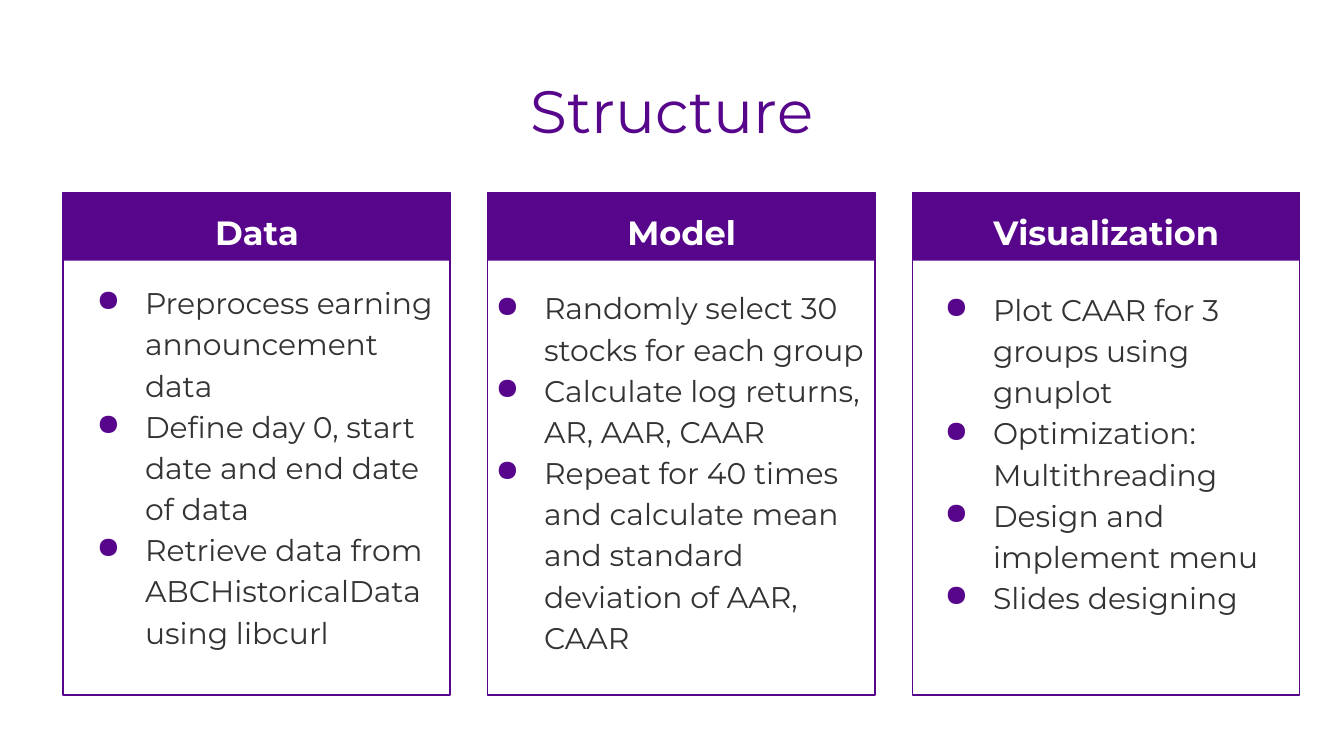
from lxml import etree
from pptx import Presentation
from pptx.dml.color import RGBColor
from pptx.enum.shapes import MSO_SHAPE
from pptx.enum.text import MSO_ANCHOR, PP_ALIGN
from pptx.oxml.ns import qn
from pptx.util import Pt

RECT = MSO_SHAPE.RECTANGLE
TOP = MSO_ANCHOR.TOP
LEFT, CENTER = PP_ALIGN.LEFT, PP_ALIGN.CENTER
TITLE_ONLY = 5

PURPLE, GRAY, WHITE = "57068C", "333333", "FFFFFF"
COL_X, COL_STEP, COL_W = 33.8, 227.5, 207.4
COL_Y, HEAD_H, COL_H = 103, 36.7, 269.3

COLUMNS = [
    ("Data", (34.6, 142.6, 207.4, 226.8), [
        "Preprocess earning announcement data",
        "Define day 0, start date and end date of data",
        "Retrieve data from ABCHistoricalData using libcurl",
    ]),
    ("Model", (248.4, 145.4, 223.2, 220.3), [
        "Randomly select 30 stocks for each group",
        "Calculate log returns, AR, AAR, CAAR",
        "Repeat for 40 times and calculate mean and standard deviation of AAR, CAAR",
    ]),
    ("Visualization", (488.9, 146.2, 195.1, 220.3), [
        "Plot CAAR for 3 groups using gnuplot",
        "Optimization: Multithreading",
        "Design and implement menu",
        "Slides designing",
    ]),
]


def rgb(value):
    return RGBColor.from_string(value)


def add_bullet(p, color):
    pPr = p._p.get_or_add_pPr()
    pPr.set("marL", str(Pt(36)))
    pPr.set("indent", str(Pt(-26)))
    clr = etree.SubElement(pPr, qn("a:buClr"))
    etree.SubElement(clr, qn("a:srgbClr"), val=color)
    etree.SubElement(pPr, qn("a:buChar"), char="●")


def write(p, text, size=16, color=GRAY, bold=False, align=LEFT, spacing=1.15, bullet=None):
    p.alignment = align
    p.line_spacing = spacing
    if bullet:
        add_bullet(p, bullet)
    r = p.add_run()
    r.text = text
    r.font.name = "Montserrat"
    r.font.size = Pt(size)
    r.font.bold = bold
    r.font.color.rgb = rgb(color)


class Deck:
    def __init__(self, prs):
        self.slide = prs.slides.add_slide(prs.slide_layouts[TITLE_ONLY])

    def frame(self, sp):
        tf = sp.text_frame
        tf.word_wrap = True
        tf.vertical_anchor = TOP
        tf.margin_left = tf.margin_right = Pt(7.2)
        tf.margin_top = tf.margin_bottom = Pt(7.2)
        return tf

    def title(self, text, x, y, w, h):
        sp = self.slide.shapes.title
        sp.left, sp.top, sp.width, sp.height = Pt(x), Pt(y), Pt(w), Pt(h)
        p = self.frame(sp).paragraphs[0]
        write(p, text, size=32, color=PURPLE, align=CENTER, spacing=1.0)

    def rect(self, x, y, w, h, fill=None, line=None):
        sp = self.slide.shapes.add_shape(RECT, Pt(x), Pt(y), Pt(w), Pt(h))
        sp.shadow.inherit = False
        if fill:
            sp.fill.solid()
            sp.fill.fore_color.rgb = rgb(fill)
        else:
            sp.fill.background()
        if line:
            sp.line.color.rgb = rgb(line)
            sp.line.width = Pt(0.75)
        else:
            sp.line.fill.background()

    def text(self, items, x, y, w, h, **fmt):
        sp = self.slide.shapes.add_textbox(Pt(x), Pt(y), Pt(w), Pt(h))
        tf = self.frame(sp)
        for i, item in enumerate(items):
            p = tf.add_paragraph() if i else tf.paragraphs[0]
            write(p, item, **fmt)


def main():
    prs = Presentation()
    prs.slide_width, prs.slide_height = Pt(720), Pt(405)
    deck = Deck(prs)
    deck.title("Structure", 24.5, 32.4, 671, 47.5)
    for i, (heading, box, items) in enumerate(COLUMNS):
        x = COL_X + i * COL_STEP
        deck.rect(x, COL_Y, COL_W, HEAD_H, fill=PURPLE)
        deck.rect(x, COL_Y, COL_W, COL_H, line=PURPLE)
        deck.text([heading], x + 5.6, COL_Y, 196.6, 36,
                  size=18, color=WHITE, bold=True, align=CENTER)
        deck.text(items, *box, bullet=PURPLE)
    prs.save("out.pptx")


if __name__ == "__main__":
    main()
